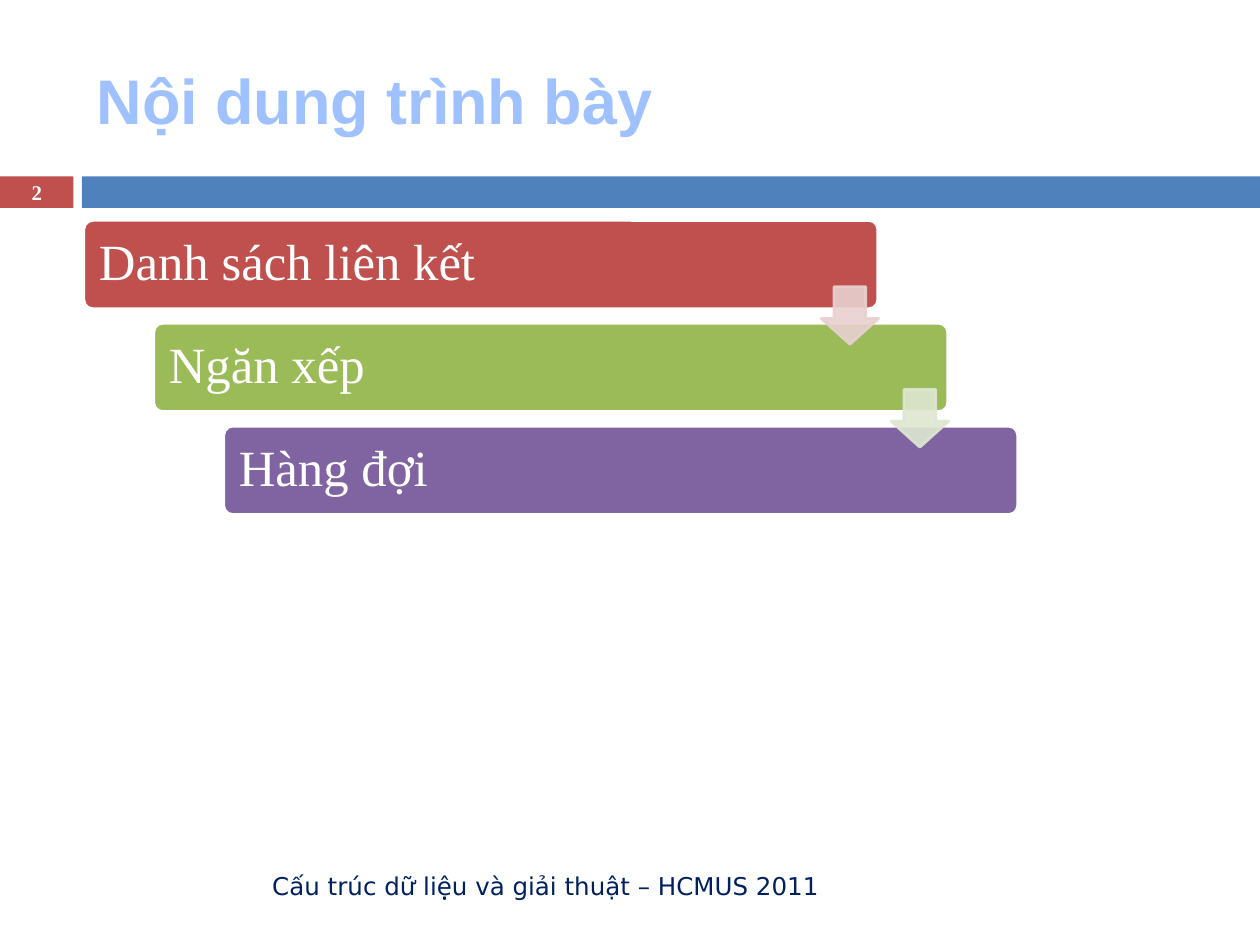
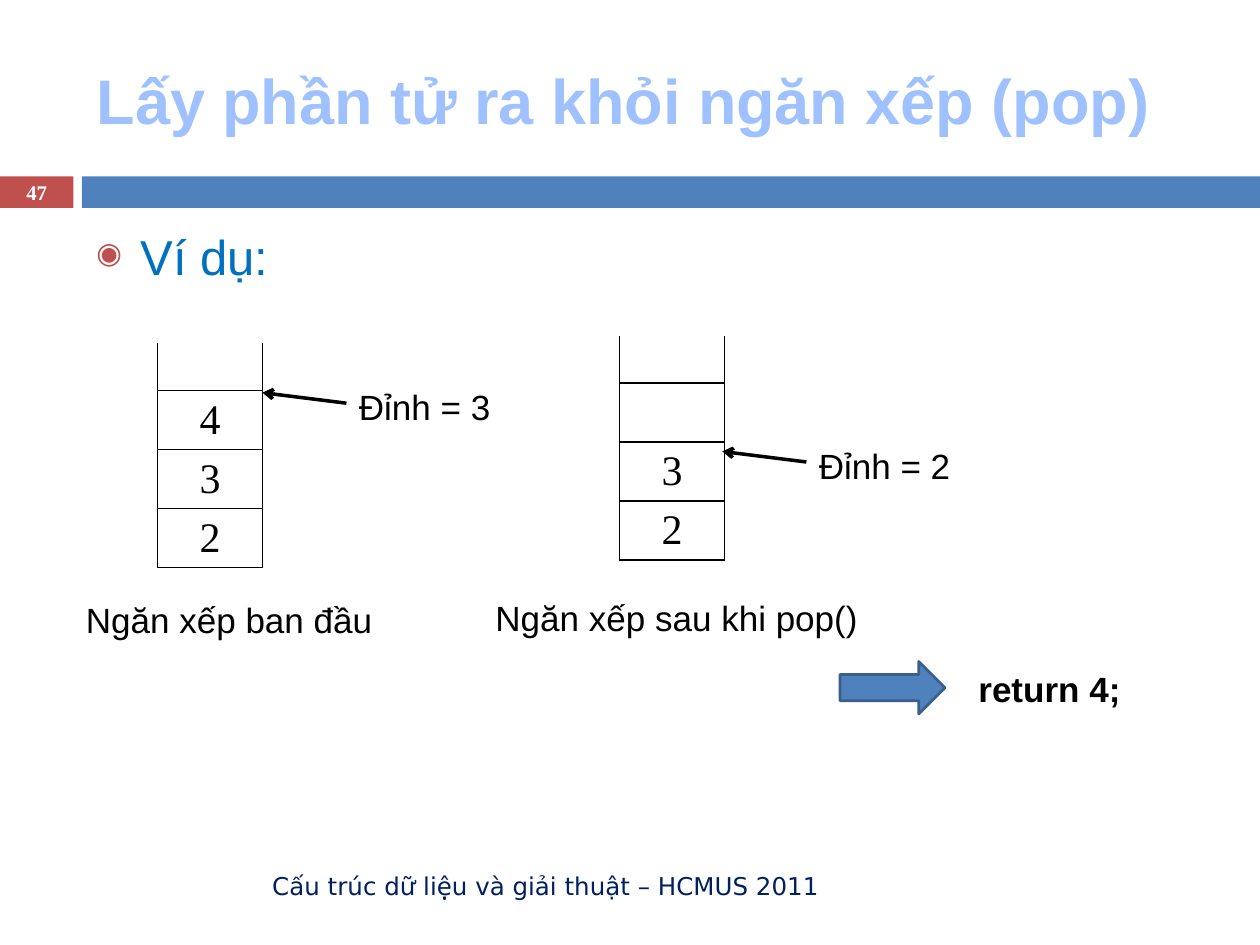
from pptx import Presentation
from pptx.dml.color import RGBColor
from pptx.enum.shapes import MSO_CONNECTOR as CONN, MSO_SHAPE as SHAPE
from pptx.enum.text import MSO_ANCHOR as ANCHOR, PP_ALIGN as ALIGN
from pptx.oxml.ns import qn
from pptx.util import Inches, Pt
from lxml.etree import SubElement, Element

WHITE = RGBColor(0xFF, 0xFF, 0xFF)
BLACK = RGBColor(0, 0, 0)
RED = RGBColor(0xC0, 0x50, 0x4D)
GREEN = RGBColor(0x9B, 0xBB, 0x59)
PURPLE = RGBColor(0x80, 0x64, 0xA2)
BLUE = RGBColor(0x4F, 0x81, 0xBD)
DARK_BLUE = RGBColor(0x3A, 0x5F, 0x8C)
PALE_RED = RGBColor(0xE8, 0xD0, 0xD0)
PALE_GREEN = RGBColor(0xDE, 0xE7, 0xD1)
TITLE_BLUE = RGBColor(0xA0, 0xC1, 0xFF)
TEXT_BLUE = RGBColor(0x00, 0x70, 0xC0)
NAVY = RGBColor(0x00, 0x20, 0x60)

SANS, SERIF, FOOTER_FONT = "Arial", "Times New Roman", "DejaVu Sans"
FOOTER = "Cấu trúc dữ liệu và giải thuật – HCMUS 2011"
COLS, ROWS = 120, 90
WIDTH, HEIGHT = Inches(10), Inches(7.5)


def write(tf, text, size=20, font=SANS, color=BLACK, bold=False,
          align=ALIGN.LEFT, anchor=None, spacing=None, bullet=None):
    tf.word_wrap = True
    if anchor is not None:
        tf.vertical_anchor = anchor
    p = tf.paragraphs[0]
    p.alignment = align
    if spacing:
        p.line_spacing = spacing
    if bullet:
        char, tint, percent = bullet
        pPr = p._p.get_or_add_pPr()
        indent = Inches(0.35)
        pPr.set("marL", str(indent))
        pPr.set("indent", str(-indent))
        clr = SubElement(pPr, qn("a:buClr"))
        SubElement(clr, qn("a:srgbClr"), val=str(tint))
        SubElement(pPr, qn("a:buSzPct"), val=str(percent * 1000))
        SubElement(pPr, qn("a:buChar"), char=char)
    r = p.add_run()
    r.text = text
    r.font.size = Pt(size)
    r.font.name = font
    r.font.bold = bold
    r.font.color.rgb = color


class Deck:
    def __init__(self):
        self.prs = Presentation()
        self.prs.slide_width, self.prs.slide_height = WIDTH, HEIGHT
        self.s = None

    def grid(self, *values):
        steps = (WIDTH / COLS, HEIGHT / ROWS)
        return [round(v * steps[i % 2]) for i, v in enumerate(values)]

    def slide(self, title, number):
        self.s = self.prs.slides.add_slide(self.prs.slide_layouts[5])
        self.shape(SHAPE.RECTANGLE, (0, 16.8, 7, 3), RED)
        self.shape(SHAPE.RECTANGLE, (7.8, 16.8, 112.2, 3), BLUE)
        sp = self.s.shapes.title
        sp.left, sp.top, sp.width, sp.height = self.grid(8, 3, 107, 13)
        write(sp.text_frame, title, size=36, color=TITLE_BLUE, bold=True,
              anchor=ANCHOR.MIDDLE)
        self.text((0, 16.7, 7, 3.2), str(number), size=11.9, font=SERIF,
                  color=WHITE, bold=True, align=ALIGN.CENTER,
                  anchor=ANCHOR.MIDDLE)
        self.text((8, 82, 71.2, 4.8), FOOTER, size=14, font=FOOTER_FONT,
                  color=NAVY, align=ALIGN.RIGHT, anchor=ANCHOR.MIDDLE)

    def text(self, box, text, **fmt):
        sp = self.s.shapes.add_textbox(*self.grid(*box))
        write(sp.text_frame, text, **fmt)

    def shape(self, kind, box, fill, line=None, adj=(), alpha=None):
        sp = self.s.shapes.add_shape(kind, *self.grid(*box))
        sp.shadow.inherit = False
        for i, value in enumerate(adj):
            sp.adjustments[i] = value
        sp.fill.solid()
        sp.fill.fore_color.rgb = fill
        if line is None:
            sp.line.fill.background()
        else:
            sp.line.color.rgb = line
            sp.line.width = Pt(1.5)
        if alpha:
            for clr in sp._element.spPr.iter(qn("a:srgbClr")):
                SubElement(clr, qn("a:alpha"), val=str(alpha * 1000))
        return sp

    def arrow(self, start, end):
        cx = self.s.shapes.add_connector(CONN.STRAIGHT, *self.grid(*start, *end))
        cx.line.color.rgb = BLACK
        cx.line.width = Pt(2)
        SubElement(cx.line._get_or_add_ln(), qn("a:tailEnd"), type="arrow")
        SubElement(cx._element.spPr, qn("a:effectLst"))

    def border(self, cell, sides):
        tcPr = cell._tc.get_or_add_tcPr()
        for i, side in enumerate("LRTB"):
            ln = Element(qn("a:ln" + side), w=str(Pt(1)))
            if side in sides:
                fill = SubElement(ln, qn("a:solidFill"))
                SubElement(fill, qn("a:srgbClr"), val=str(BLACK))
            else:
                SubElement(ln, qn("a:noFill"))
            tcPr.insert(i, ln)

    def stack(self, left, top, values):
        heights = [4.5] + [5.62] * (len(values) - 1)
        box = self.grid(left, top, 10, sum(heights))
        frame = self.s.shapes.add_table(len(values), 1, *box)
        table = frame.table
        table.first_row = table.horz_banding = False
        for i, (value, height) in enumerate(zip(values, heights)):
            table.rows[i].height = self.grid(0, height)[1]
            cell = table.cell(i, 0)
            cell.margin_top = cell.margin_bottom = 0
            cell.vertical_anchor = ANCHOR.MIDDLE
            cell.fill.background()
            self.border(cell, "LRTB" if i else "LRB")
            if value:
                write(cell.text_frame, value, size=24, font=SERIF,
                      align=ALIGN.CENTER)

    def top_pointer(self, left, top, text):
        self.arrow((left, top), (left - 8, top - 1))
        self.text((left, top - 2.25, 15, 5.3), text)


def agenda(deck):
    deck.slide("Nội dung trình bày", 2)
    step_x, step_y = 6.66, 9.8
    topics = [("Danh sách liên kết", RED), ("Ngăn xếp", GREEN),
              ("Hàng đợi", PURPLE)]
    for i, (topic, color) in enumerate(topics):
        sp = deck.shape(SHAPE.ROUNDED_RECTANGLE,
                        (8 + i * step_x, 21 + i * step_y, 75.6, 8.4),
                        color, WHITE, adj=[0.1])
        write(sp.text_frame, topic, size=29, font=SERIF, color=WHITE,
              anchor=ANCHOR.MIDDLE, spacing=0.9)
    for i, color in enumerate([PALE_RED, PALE_GREEN]):
        deck.shape(SHAPE.DOWN_ARROW,
                   (78.2 + i * step_x, 27.3 + i * step_y, 5.5, 5.5),
                   color, color, adj=[0.55, 0.45], alpha=90)


def pop_example(deck):
    deck.slide("Lấy phần tử ra khỏi ngăn xếp (pop)", 47)
    deck.text((8, 21, 107, 59), "Ví dụ:", size=28, color=TEXT_BLUE,
              bullet=("◉", RED, 60))
    deck.stack(59, 32, ["", "", "3", "2"])
    deck.stack(15, 32.7, ["", "4", "3", "2"])
    deck.text((7, 56.4, 31, 5.3), "Ngăn xếp ban đầu")
    deck.text((46, 56.2, 39, 5.3), "Ngăn xếp sau khi pop()")
    deck.shape(SHAPE.RIGHT_ARROW, (80, 63, 10, 5), BLUE, DARK_BLUE)
    deck.text((92, 63, 22, 5.3), "return 4;", bold=True)
    deck.top_pointer(33, 38.4, "Đỉnh = 3")
    deck.top_pointer(76.8, 44, "Đỉnh = 2")


def main():
    deck = Deck()
    agenda(deck)
    pop_example(deck)
    deck.prs.save("out.pptx")


if __name__ == "__main__":
    main()
